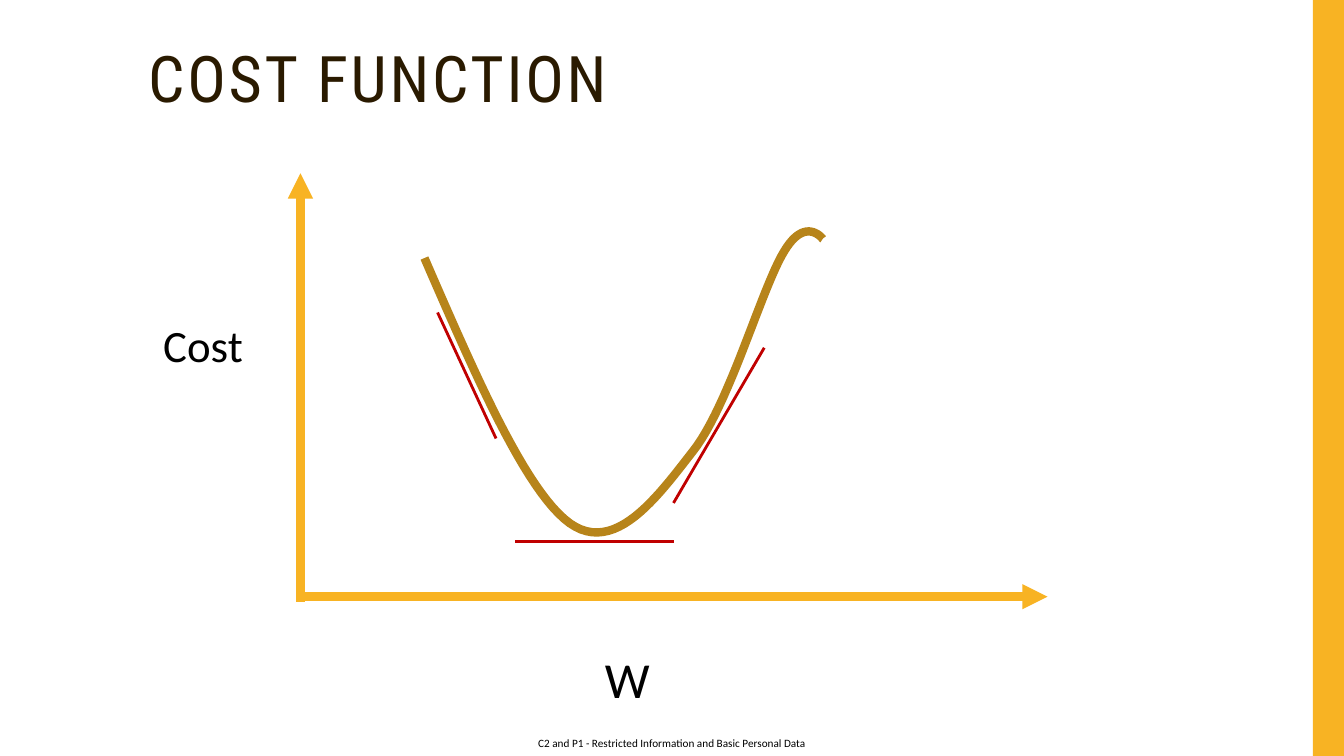
from dataclasses import dataclass

from lxml import etree
from pptx import Presentation
from pptx.dml.color import RGBColor
from pptx.enum.shapes import MSO_CONNECTOR, MSO_SHAPE
from pptx.enum.text import MSO_ANCHOR, MSO_AUTO_SIZE, PP_ALIGN
from pptx.oxml.ns import qn
from pptx.util import Inches, Pt

STRAIGHT = MSO_CONNECTOR.STRAIGHT
RECTANGLE = MSO_SHAPE.RECTANGLE
MIDDLE = MSO_ANCHOR.MIDDLE
LEFT, CENTER = PP_ALIGN.LEFT, PP_ALIGN.CENTER
FIT_SHAPE, NO_FIT = MSO_AUTO_SIZE.SHAPE_TO_FIT_TEXT, MSO_AUTO_SIZE.NONE
TITLE_ONLY = 5

# The slide is a grid of square cells, 0.1 inch a side
COLUMNS, ROWS = 133.3, 75
CELL = Inches(0.1)


@dataclass(frozen=True)
class Theme:
    accent: str = "F8B323"
    curve: str = "B7841A"
    tangent: str = "C00000"
    heading: str = "2A1A00"
    text: str = "000000"
    heading_font: str = "Roboto Condensed"
    body_font: str = "Calibri"
    title_size: float = 45.9
    title_tracking: int = 200
    weight_size: int = 36
    cost_size: int = 32
    footer_size: int = 8
    thick: int = 6
    thin: int = 2


def grid(*cells):
    return [round(cell * CELL) for cell in cells]


def bezier(start, control1, control2, end, steps=24):
    """Points along a cubic curve, without its start."""
    for step in range(1, steps + 1):
        t = step / steps
        weights = ((1 - t) ** 3, 3 * t * (1 - t) ** 2, 3 * t * t * (1 - t), t ** 3)
        yield tuple(sum(w * p for w, p in zip(weights, axis))
                    for axis in zip(start, control1, control2, end))


class Canvas:
    def __init__(self, slide, theme):
        self.slide = slide
        self.shapes = slide.shapes
        self.theme = theme

    def style_font(self, paragraph, size, color, name):
        for run in paragraph.runs:
            run.font.size = Pt(size)
            run.font.name = name
            run.font.color.rgb = RGBColor.from_string(color)

    def title(self, text, box):
        heading = self.shapes.title
        heading.left, heading.top, heading.width, heading.height = grid(*box)
        frame = heading.text_frame
        frame.text = text
        frame.vertical_anchor = MIDDLE
        frame.auto_size = NO_FIT
        paragraph = frame.paragraphs[0]
        paragraph.alignment = LEFT
        paragraph.line_spacing = 0.9
        self.style_font(paragraph, self.theme.title_size, self.theme.heading,
                        self.theme.heading_font)
        paragraph.runs[0].font._element.set("spc", str(self.theme.title_tracking))

    def label(self, text, box, size, align=LEFT):
        frame = self.shapes.add_textbox(*grid(*box)).text_frame
        frame.text = text
        frame.word_wrap = False
        frame.auto_size = FIT_SHAPE
        frame.paragraphs[0].alignment = align
        self.style_font(frame.paragraphs[0], size, self.theme.text, self.theme.body_font)
        return frame

    def footer(self, text, box):
        frame = self.label(text, box, self.theme.footer_size, CENTER)
        frame.vertical_anchor = MIDDLE
        frame.margin_left = frame.margin_right = 0
        frame.margin_top = frame.margin_bottom = 0

    def band(self, box):
        stripe = self.shapes.add_shape(RECTANGLE, *grid(*box))
        stripe.shadow.inherit = False
        stripe.fill.solid()
        stripe.fill.fore_color.rgb = RGBColor.from_string(self.theme.accent)
        stripe.line.fill.background()

    def line(self, start, end, color, width, arrow=False):
        stroke = self.shapes.add_connector(STRAIGHT, *grid(*start, *end))
        stroke.line.color.rgb = RGBColor.from_string(color)
        stroke.line.width = Pt(width)
        if arrow:
            etree.SubElement(stroke.line._get_or_add_ln(), qn("a:tailEnd"), type="triangle")
        etree.SubElement(stroke._element.spPr, qn("a:effectLst"))

    def curve(self, start, segments, color, width):
        points, current = [], start
        for segment in segments:
            points += bezier(current, *segment)
            current = segment[-1]
        builder = self.shapes.build_freeform(*grid(*start))
        builder.add_line_segments([grid(*point) for point in points], close=False)
        outline = builder.convert_to_shape()
        outline.shadow.inherit = False
        outline.fill.background()
        outline.line.color.rgb = RGBColor.from_string(color)
        outline.line.width = Pt(width)


def main():
    deck = Presentation()
    deck.slide_width, deck.slide_height = grid(COLUMNS, ROWS)
    theme = Theme()
    canvas = Canvas(deck.slides.add_slide(deck.slide_layouts[TITLE_ONLY]), theme)

    # Frame: side band, footer and title
    canvas.band((130.2, 0, COLUMNS - 130.2, ROWS))
    canvas.footer("C2 and P1 - Restricted Information and Basic Personal Data",
                  (51.7, 72.5, 29.9, 2.5))
    canvas.title("COST FUNCTION", (13.7, 4.2, 111.3, 7.8))

    # Axes
    for start, end in (((29.5, 59.2), (103.9, 59.2)), ((29.8, 59.7), (29.8, 17.2))):
        canvas.line(start, end, theme.accent, theme.thick, arrow=True)

    # Cost curve
    canvas.curve((42.1, 25.6), [
        ((47.1, 37.1), (52.1, 48.7), (56.5, 51.9)),
        ((61, 55.1), (65.2, 49.3), (68.7, 44.8)),
        ((72.3, 40.3), (75.6, 28.4), (77.8, 24.9)),
        ((79.9, 21.4), (81.6, 23.7), (81.6, 23.7)),
    ], theme.curve, theme.thick)

    # Tangents: falling, rising and flat
    for start, end in (((43.4, 31), (49.2, 43.5)),
                       ((66.8, 49.9), (75.8, 34.5)),
                       ((51.1, 53.7), (66.8, 53.7))):
        canvas.line(start, end, theme.tangent, theme.thin)

    # Axis labels
    canvas.label("W", (59, 63.8, 7.3, 7.1), theme.weight_size)
    canvas.label("Cost", (15.2, 31, 10.9, 6.4), theme.cost_size)

    deck.save("out.pptx")


if __name__ == "__main__":
    main()
